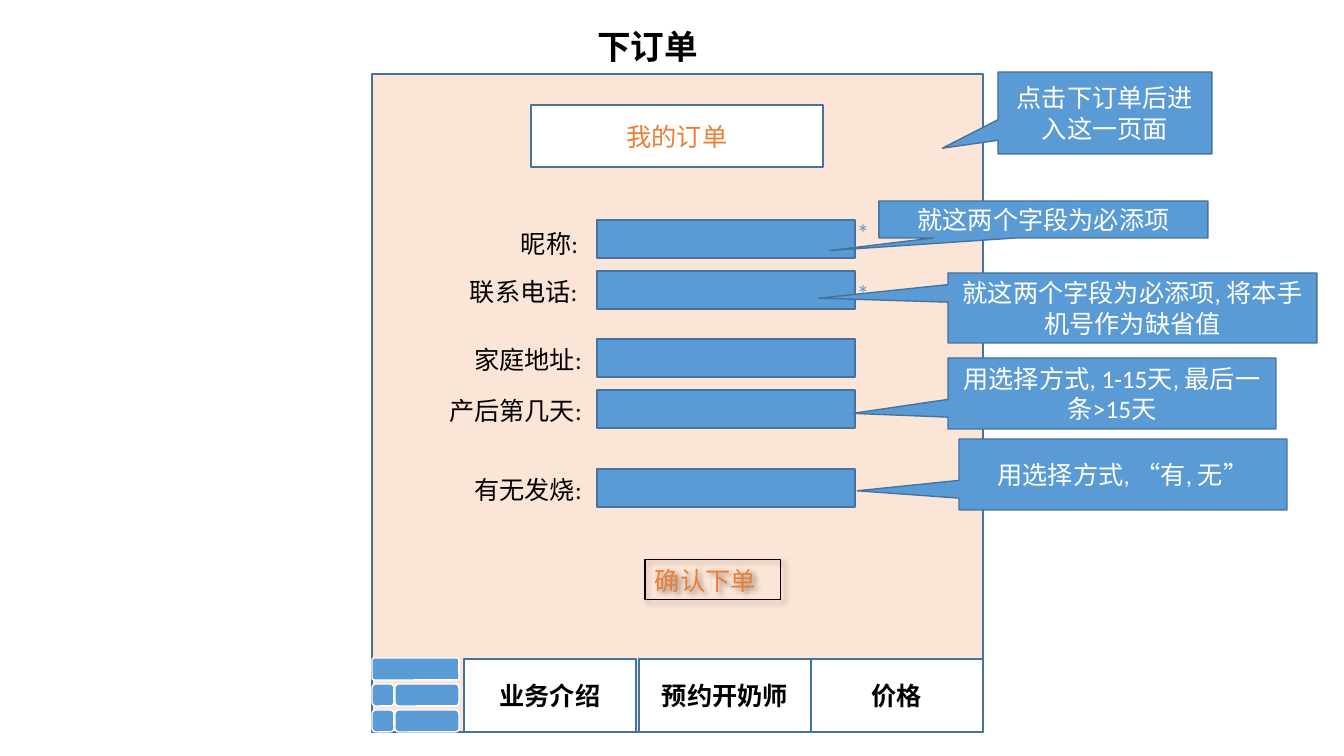
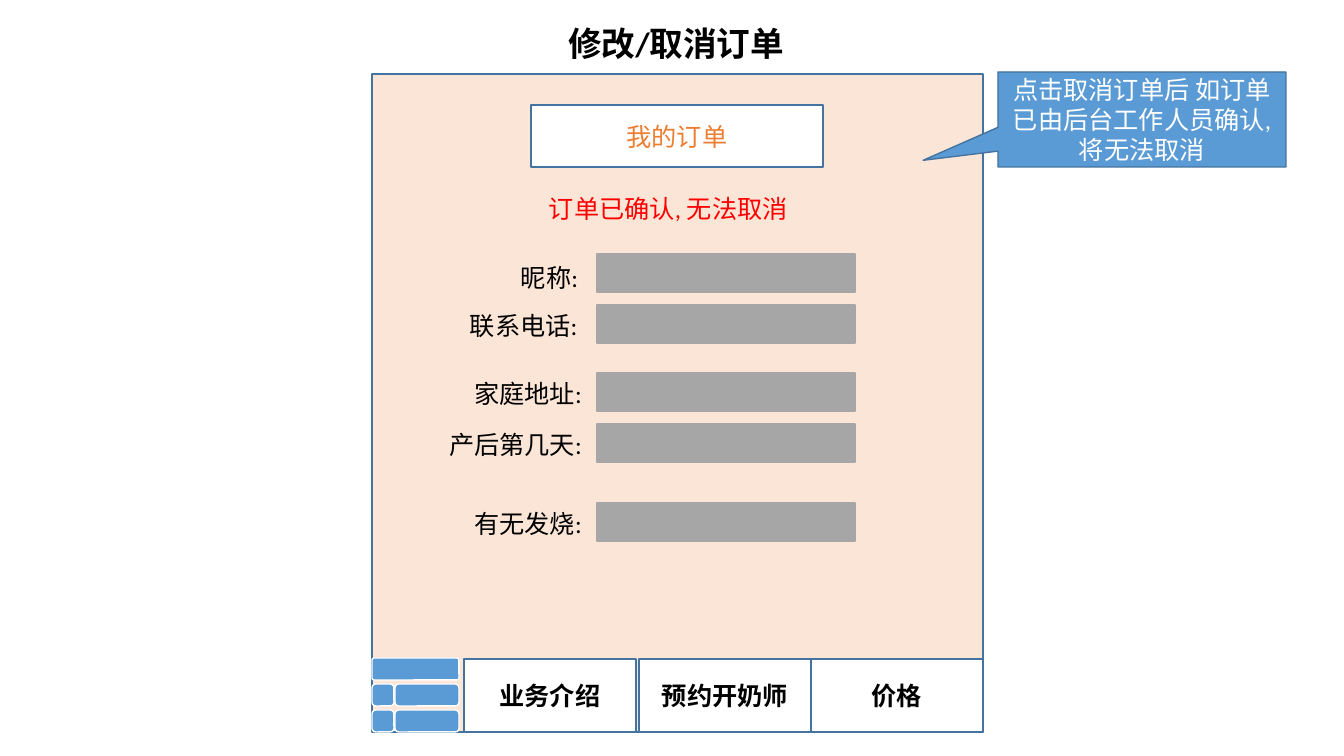
import pptx
import pptx.util
import pptx.oxml
import pptx.dml.color
import pptx.enum.shapes
import pptx.enum.text

SHAPE = pptx.enum.shapes.MSO_SHAPE
ALIGN = pptx.enum.text.PP_ALIGN
ANCHOR = pptx.enum.text.MSO_ANCHOR
UNIT = 914400 / 100.8
NS = 'xmlns:a="http://schemas.openxmlformats.org/drawingml/2006/main"'

# Shared colours and text formats
BLUE, EDGE, GREY = "5B9BD5", "43739E", "A6A6A6"
PEACH, ORANGE, RED = "FBE5D6", "ED7D31", "FF0000"
WHITE, BLACK = "FFFFFF", "000000"
BODY = {"name": "Calibri", "size": pptx.util.Pt(18), "bold": False}
BOLD = {**BODY, "bold": True}
HEAD = {**BOLD, "size": pptx.util.Pt(24)}

# Label, left edge, drop of the label, alignment, top of the field
FIELDS = [
    ("昵称: ", 139, 3, ALIGN.LEFT, 0),
    ("联系电话: ", 88, 0, ALIGN.LEFT, 51),
    ("家庭地址: ", 88, 0, ALIGN.RIGHT, 119),
    ("产后第几天: ", 62, 0, ALIGN.RIGHT, 170),
    ("有无发烧: ", 88, 0, ALIGN.RIGHT, 249),
]
PANEL = (372, 74, 611, 658)


def px(num):
    return pptx.util.Emu(round(num * UNIT))


def tint(code):
    return pptx.dml.color.RGBColor.from_string(code)


def write(item, text, color, style=BODY, align=ALIGN.CENTER,
          anchor=ANCHOR.MIDDLE, wrap=True):
    frame = item.text_frame
    frame.word_wrap = wrap
    frame.vertical_anchor = anchor
    para = frame.paragraphs[0]
    para.alignment = align
    run = para.add_run()
    run.text = text
    for key, value in style.items():
        setattr(run.font, key, value)
    run.font.color.rgb = tint(color)
    return run


def label(slide, box, text, color=BLACK, align=ALIGN.LEFT):
    item = slide.shapes.add_textbox(*map(px, box))
    write(item, text, color, align=align, anchor=ANCHOR.TOP, wrap=False)


def block(slide, box, fill, line=EDGE, kind=SHAPE.RECTANGLE, width=1):
    item = slide.shapes.add_shape(kind, *map(px, box))
    item.shadow.inherit = False
    if fill:
        item.fill.solid()
        item.fill.fore_color.rgb = tint(fill)
    else:
        item.fill.background()
    item.line.color.rgb = tint(line)
    item.line.width = pptx.util.Pt(width)
    return item


def title(slide, box, text):
    item = slide.shapes.title
    item.left, item.top, item.width, item.height = map(px, box)
    write(item, text, BLACK, HEAD, ALIGN.LEFT, ANCHOR.TOP, False)
    item.text_frame.auto_size = pptx.enum.text.MSO_AUTO_SIZE.NONE


def callout(slide, box, tip, text):
    item = block(slide, box, BLUE, kind=SHAPE.RECTANGULAR_CALLOUT)
    for index, value in enumerate(tip):
        item.adjustments[index] = value
    write(item, text, WHITE)


def menu(slide, box):
    """Icon of one wide bar above two split bars."""
    left, top, width, tall = box
    bars = [(0, 0, width, 0.1)]
    for row in (1, 2):
        bars += [(0, row, 22, 0.17), (23, row, width - 23, 0.17)]
    for x, row, wide, bend in bars:
        item = block(slide, (left + x, top + row * (tall - 22) / 2, wide, 22),
                     BLUE, WHITE, SHAPE.ROUNDED_RECTANGLE)
        item.adjustments[0] = bend


def screen(slide, box):
    """Panel with the order heading and the bottom bar."""
    left, top, width, tall = box
    block(slide, box, PEACH)
    menu(slide, (left, top + tall - 74, 87, 74))
    tabs = [(92, "业务介绍"), (267, "预约开奶师"), (439, "价格")]
    for x, text in tabs:
        tab = block(slide, (left + x, top + tall - 73, 172, 73), WHITE)
        write(tab, text, BLACK, BOLD)
    head = block(slide, (left + 159, top + 31, 292, 62), WHITE)
    write(head, "我的订单", ORANGE)


def form(slide, left, top, fill, line):
    for text, x, drop, align, y in FIELDS:
        block(slide, (left + 225, top + y, 258, 38), fill, line)
        label(slide, (left + x, top + y + drop, 213 - x, 40), text, align=align)


def button(slide, box, text):
    """Outlined button with a soft shadow."""
    item = block(slide, box, None, BLACK, width=0.75)
    run = write(item, text, ORANGE, align=ALIGN.LEFT, anchor=ANCHOR.TOP,
                wrap=False)
    rim = pptx.oxml.parse_xml(
        f'<a:ln {NS} w="9525"><a:solidFill><a:srgbClr val="{ORANGE}"/>'
        '</a:solidFill></a:ln>')
    run.font.fill  # fill follows the outline in the run properties
    run.font._element.insert(0, rim)
    effect = item._element.spPr.find(
        "{http://schemas.openxmlformats.org/drawingml/2006/main}effectLst")
    effect.append(pptx.oxml.parse_xml(
        f'<a:outerShdw {NS} blurRad="50800" dist="38100" dir="2700000" '
        f'algn="tl" rotWithShape="0"><a:srgbClr val="{BLACK}">'
        '<a:alpha val="40000"/></a:srgbClr></a:outerShdw>'))


def order(slide):
    title(slide, (587, 21, 198, 50), "下订单")
    screen(slide, PANEL)
    form(slide, PANEL[0], 220, BLUE, EDGE)
    notes = [
        ((998, 72, 214, 82), (-0.76, 0.43), "点击下订单后进入这一页面"),
        ((948, 358, 328, 71), (-0.79, 0.28),
         "用选择方式, 1-15天, 最后一条>15天"),
        ((959, 439, 328, 71), (-0.81, 0.23), "用选择方式, “有, 无”"),
        ((879, 201, 329, 37), (-0.65, 0.84), "就这两个字段为必添项"),
        ((948, 273, 369, 70), (-0.85, -0.14),
         "就这两个字段为必添项, 将本手机号作为缺省值"),
    ]
    for note in notes:
        callout(slide, *note)
    for top in (212, 273):
        label(slide, (847, top, 37, 40), "*", BLUE)
    button(slide, (645, 560, 136, 40), "确认下单")


def cancel(slide):
    title(slide, (558, 18, 253, 50), "修改/取消订单")
    screen(slide, PANEL)
    form(slide, PANEL[0], 254, GREY, GREY)
    callout(slide, (998, 72, 288, 95), (-0.76, 0.43),
            "点击取消订单后 如订单已由后台工作人员确认,将无法取消")
    label(slide, (539, 188, 291, 40), "订单已确认, 无法取消", RED)


deck = pptx.Presentation()
deck.slide_width, deck.slide_height = px(1344), px(756)
for build in (order, cancel):
    build(deck.slides.add_slide(deck.slide_layouts[5]))
deck.save("out.pptx")
